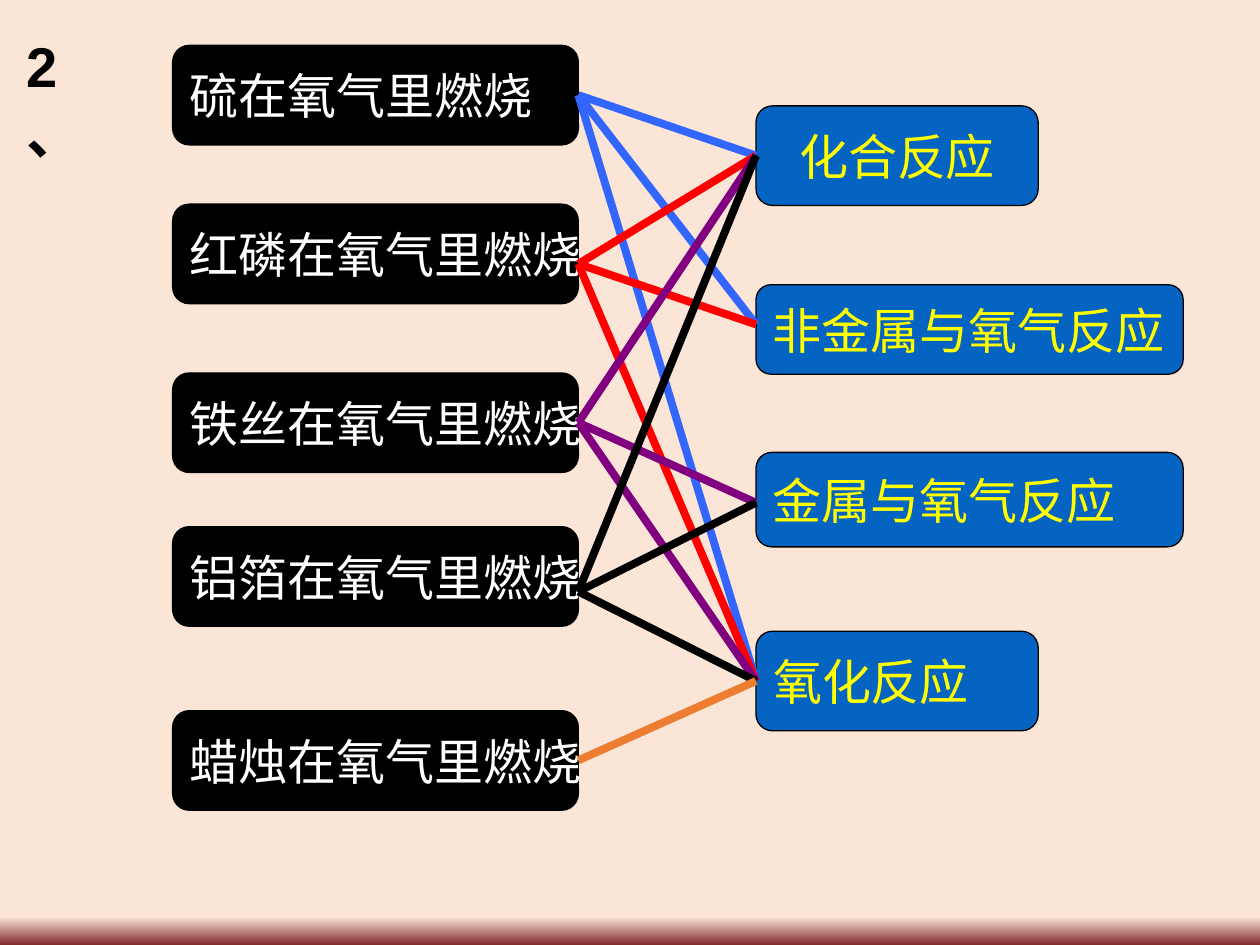
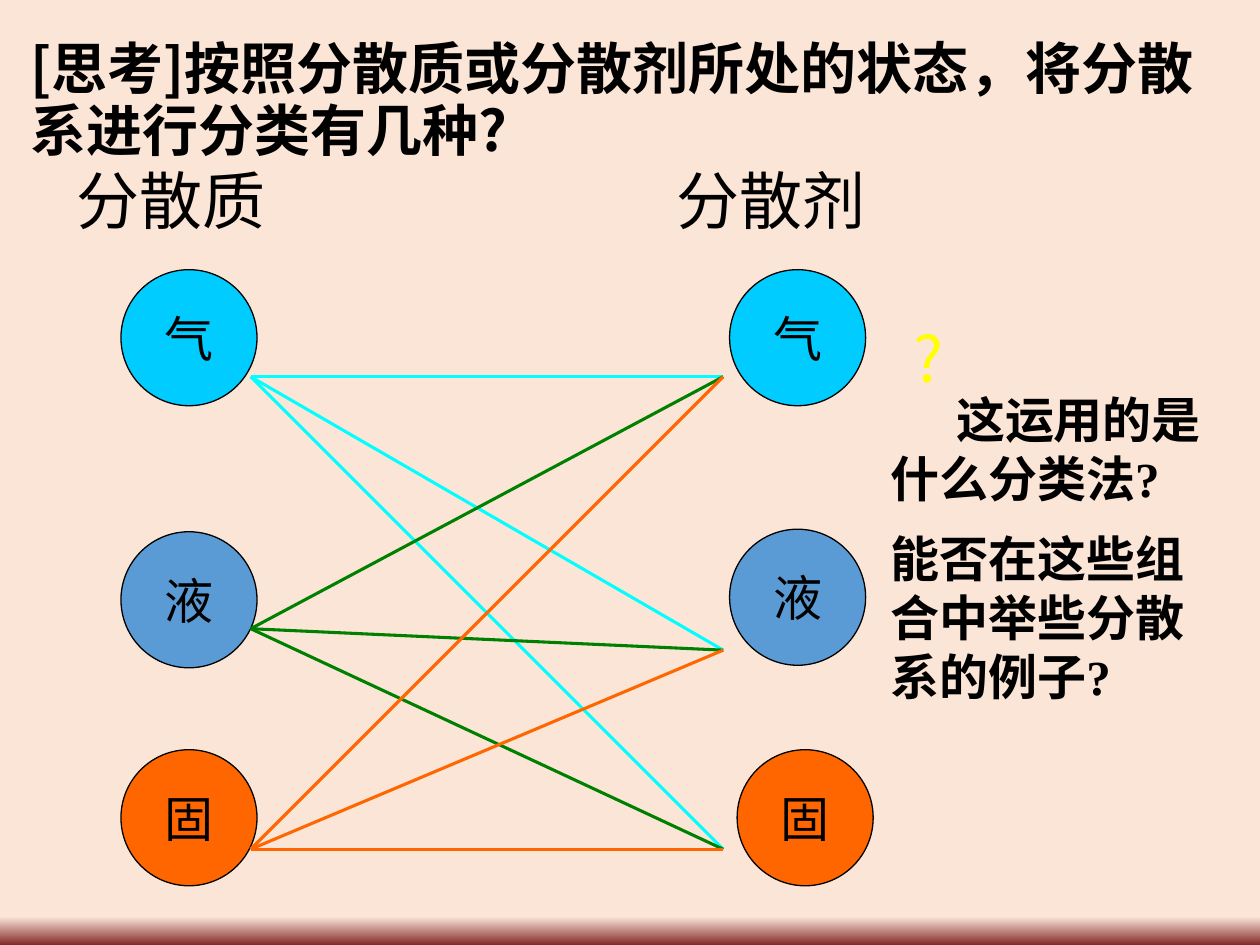
from dataclasses import dataclass
from itertools import product
from typing import Optional

from lxml.etree import SubElement
from pptx import Presentation
from pptx.dml.color import RGBColor
from pptx.enum.shapes import MSO_CONNECTOR as Connector, MSO_SHAPE as Preset
from pptx.enum.text import MSO_ANCHOR as Anchor, MSO_AUTO_SIZE as AutoSize, PP_ALIGN as Align
from pptx.oxml.ns import qn
from pptx.util import Inches, Pt

WIDTH, HEIGHT = Inches(10), Inches(7.5)
COLUMNS, ROWS = 100, 75
SANS, SERIF, LATIN = "Noto Sans CJK SC", "Times New Roman", "Arial"
BLACK, WHITE, YELLOW, BLUE = "000000", "FFFFFF", "FFFF00", "0563C1"
SAND, MAROON = "FBE5D6", "832B2B"
TOP, LEFT, BOTTOM, RIGHT = range(4)


@dataclass(frozen=True)
class Node:
    text: str
    column: float
    row: float
    columns: float
    rows: float
    fill: str
    ink: str = BLACK
    preset: Preset = Preset.FLOWCHART_ALTERNATE_PROCESS
    align: Align = Align.LEFT
    port_shift: float = 0


@dataclass(frozen=True)
class Link:
    start: tuple[float, float]
    end: tuple[float, float]
    color: str
    weight: float


def across(columns: float) -> int:
    return round(WIDTH * columns / COLUMNS)


def down(rows: float) -> int:
    return round(HEIGHT * rows / ROWS)


def rgb(value: str) -> RGBColor:
    return RGBColor.from_string(value)


def write(frame, *texts: str, font: str = SANS, size: float = 28, color: str = BLACK,
          bold: bool = False, align: Align = Align.LEFT, wrap: bool = True,
          anchor: Anchor = Anchor.TOP, gap: float = 0, line: Optional[float] = None,
          indent: float = 0, tab: float = 0, grow: bool = False) -> None:
    frame.word_wrap = wrap
    frame.vertical_anchor = anchor
    frame.auto_size = AutoSize.SHAPE_TO_FIT_TEXT if grow else AutoSize.NONE
    for index, text in enumerate(texts):
        paragraph = frame.add_paragraph() if index else frame.paragraphs[0]
        paragraph.alignment = align
        properties = paragraph._p.get_or_add_pPr()
        if line:
            paragraph.line_spacing = Pt(line)
        if index:
            paragraph.space_before = Pt(gap)
        elif indent:
            properties.set("indent", str(across(indent)))
        if tab:
            stops = SubElement(properties, qn("a:tabLst"))
            SubElement(stops, qn("a:tab"), pos=str(across(tab)), algn="l")
        run = paragraph.add_run()
        run.text = text
        run.font.name, run.font.size, run.font.bold = font, Pt(size), bold
        run.font.color.rgb = rgb(color)
        SubElement(run._r.get_or_add_rPr(), qn("a:ea"), typeface=SANS)


def add_text(slide, column: float, row: float, columns: float, rows: float,
             *texts: str, **style):
    box = slide.shapes.add_textbox(across(column), down(row), across(columns), down(rows))
    write(box.text_frame, *texts, **style)
    return box


def add_node(slide, node: Node):
    shape = slide.shapes.add_shape(node.preset, across(node.column), down(node.row),
                                   across(node.columns), down(node.rows))
    shape.shadow.inherit = False
    shape.fill.solid()
    shape.fill.fore_color.rgb = rgb(node.fill)
    shape.line.color.rgb = rgb(BLACK)
    shape.line.width = Pt(0.75)
    write(shape.text_frame, node.text, color=node.ink, align=node.align,
          wrap=False, anchor=Anchor.MIDDLE)
    return shape


def add_link(slide, link: Link):
    (start_column, start_row), (end_column, end_row) = link.start, link.end
    connector = slide.shapes.add_connector(
        Connector.STRAIGHT, across(start_column), down(start_row),
        across(end_column), down(end_row))
    connector.line.color.rgb = rgb(link.color)
    connector.line.width = Pt(link.weight)
    SubElement(connector._element.spPr, qn("a:effectLst"))
    return connector


def port(node: Node, side: int) -> tuple[float, float]:
    column = node.column + (node.columns if side == RIGHT else 0)
    return column, node.row + node.rows / 2 + node.port_shift


def paint_background(presentation) -> None:
    fill = presentation.slide_master.background.fill
    fill.gradient()
    fill.gradient_angle = 270
    for stop, (position, color) in zip(fill.gradient_stops, ((0.97, SAND), (1, MAROON))):
        stop.position = position
        stop.color.rgb = rgb(color)


def experiment(substance: str, row: float, port_shift: float = 0) -> Node:
    return Node(f"{substance}在氧气里燃烧", 13.7, row, 32.2, 7.9, BLACK, WHITE,
                port_shift=port_shift)


def reaction(text: str, row: float, columns: float, rows: float, **options) -> Node:
    return Node(text, 60, row, columns, rows, BLUE, YELLOW, **options)


def build_reactions(slide) -> None:
    experiments = [experiment("硫", 3.6), experiment("红磷", 16.2, 0.8),
                   experiment("铁丝", 29.6), experiment("铝箔", 41.8, 1.2),
                   experiment("蜡烛", 56.4)]
    reactions = [reaction("化合反应", 8.4, 22.4, 7.9, align=Align.CENTER),
                 reaction("非金属与氧气反应", 22.6, 33.9, 7.1, port_shift=-0.4),
                 reaction("金属与氧气反应", 35.9, 33.9, 7.5, port_shift=0.25),
                 reaction("氧化反应", 50.1, 22.4, 7.9)]
    matches = [("3366FF", (0, 1, 3)), ("FF0000", (0, 1, 3)), ("800080", (0, 2, 3)),
               (BLACK, (0, 2, 3)), ("ED7D31", (3,))]
    shapes = {node: add_node(slide, node) for node in experiments + reactions}
    for source, (color, targets) in zip(experiments, matches):
        for target in (reactions[index] for index in targets):
            connector = add_link(slide, Link(port(source, RIGHT), port(target, LEFT), color, 4.5))
            if not source.port_shift:
                connector.begin_connect(shapes[source], RIGHT)
            if not target.port_shift:
                connector.end_connect(shapes[target], LEFT)
    add_text(slide, 1.1, 2, 5.8, 6.3, "2、", font=LATIN, size=32, bold=True, grow=True)


def build_dispersions(slide) -> None:
    question = add_text(slide, 2, 2.8, 95, 11.6,
                        "[思考]按照分散质或分散剂所处的状态，将分散系进行分类有几种?",
                        size=32, bold=True, line=35.8).text_frame
    question.margin_left = question.margin_right = question.margin_bottom = Inches(0.04)
    question.margin_top = Inches(0.02)

    states = [("气", "00CCFF"), ("液", "5B9BD5"), ("固", "FF6600")]
    solutes = [(9.6, 21.4), (9.6, 42.2), (9.6, 59.5)]
    solvents = [(57.9, 21.4), (57.9, 42), (58.5, 59.5)]
    for places in (solutes, solvents):
        for (text, fill), (column, row) in zip(states, places):
            add_node(slide, Node(text, column, row, 10.8, 10.8, fill,
                                 preset=Preset.OVAL, align=Align.CENTER))

    starts = [(29.9, "00FFFF"), (49.9, "008000"), (67.4, "FF6600")]
    for (start_row, color), end_row in product(starts, (29.9, 51.6, 67.4)):
        add_link(slide, Link((19.9, start_row), (57.4, end_row), color, 1.75))

    add_text(slide, 5.1, 12.3, 89, 7, "分散质\t分散剂", font=SERIF, size=36,
             tab=47.6, grow=True)
    add_text(slide, 69.7, 24.9, 7.9, 8.8, "?", size=36, color=YELLOW,
             align=Align.CENTER, wrap=False)
    add_text(slide, 69.7, 30.4, 28.7, 26.7, "这运用的是什么分类法?",
             "能否在这些组合中举些分散系的例子?", font=SERIF, bold=True,
             gap=12.5, indent=5.2, grow=True)


def main() -> None:
    presentation = Presentation()
    presentation.slide_width, presentation.slide_height = WIDTH, HEIGHT
    paint_background(presentation)
    blank = presentation.slide_layouts[6]
    for build in (build_reactions, build_dispersions):
        build(presentation.slides.add_slide(blank))
    presentation.save("out.pptx")


if __name__ == "__main__":
    main()
